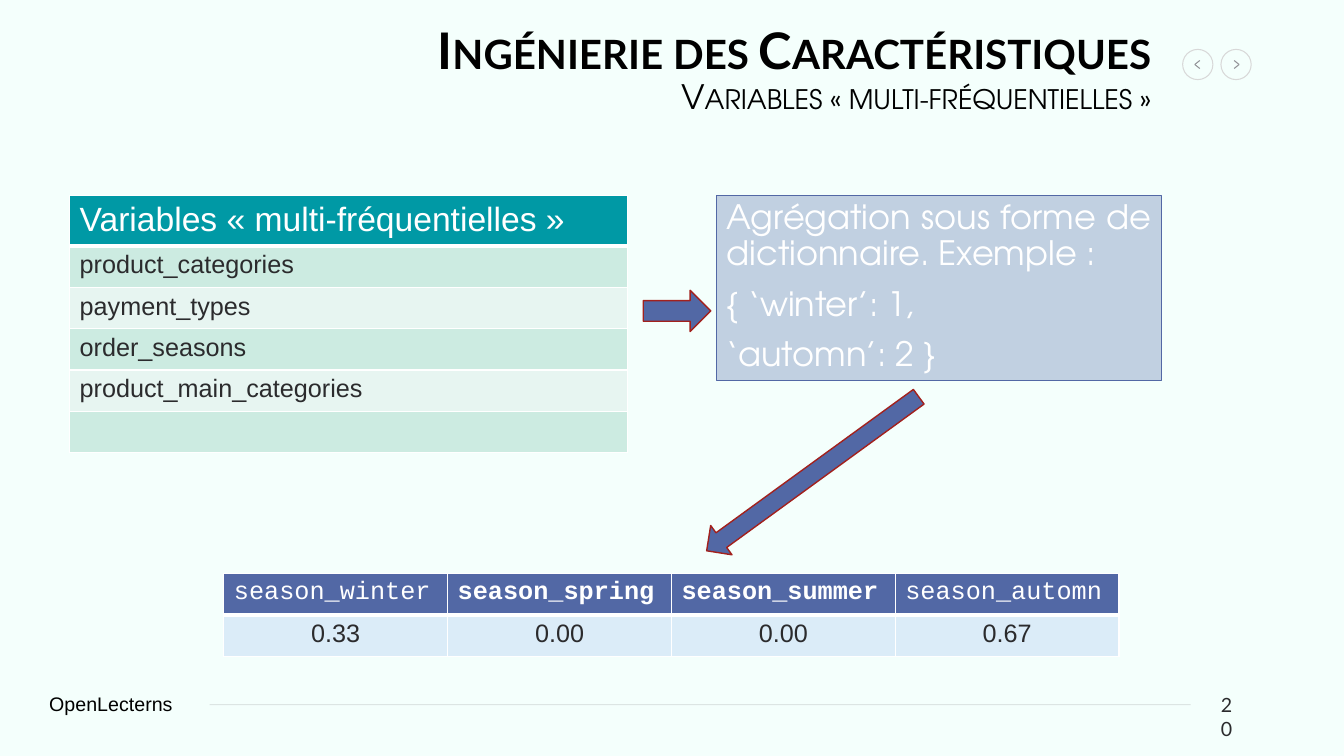
from lxml import etree
from pptx import Presentation
from pptx import util as u
from pptx.dml import color
from pptx.enum import shapes, text
from pptx.oxml import ns

INK, WHITE, BLUE, RED = "2B2B2D", "FFFFFF", "5268A5", "A2211D"
SERIF = "TeX Gyre Adventor"
ALIGN = text.PP_ALIGN


def paint(fmt, hue, alpha=None):
    """Give a fill a solid colour, with an optional opacity in percent."""
    fmt.solid()
    fmt.fore_color.rgb = color.RGBColor.from_string(hue)
    if alpha:
        tint = fmt._xPr.find(ns.qn("a:solidFill"))[0]
        etree.SubElement(tint, ns.qn("a:alpha")).set("val", str(alpha * 1000))


def box(at):
    """Turn inch numbers into lengths."""
    return [u.Inches(n) for n in at]


def write(par, words, size, face, hue, bold=False, **form):
    """Add a run to a paragraph and format both."""
    for key, val in form.items():
        setattr(par, key, val)
    run = par.add_run()
    run.text = words
    for key, val in {"size": u.Pt(size), "name": face, "bold": bold}.items():
        setattr(run.font, key, val)
    paint(run.font.fill, hue)
    return run


def label(slide, at, words, size, face, hue):
    """Add a wrapped text box."""
    frame = slide.shapes.add_textbox(*box(at)).text_frame
    frame.word_wrap = True
    write(frame.paragraphs[0], words, size, face, hue)


def line(home, start, end, hue, alpha=None):
    """Add a thin straight line."""
    rule = home.add_connector(shapes.MSO_CONNECTOR.STRAIGHT, *box(start + end))
    rule.line.width = u.Pt(0.75)
    paint(rule.line.fill, hue, alpha)
    etree.SubElement(rule._element.spPr, ns.qn("a:effectLst"))


def shape(home, kind, at, edge, width=0.75, fill=None, alpha=None, turn=0):
    """Add a preset shape."""
    form = home.add_shape(kind, *box(at))
    form.shadow.inherit = False
    form.rotation = turn
    form.line.width = u.Pt(width)
    paint(form.line.fill, edge)
    if fill:
        paint(form.fill, fill, alpha)
    else:
        form.fill.background()
    return form


def border(cell, low):
    """Draw white cell borders, with the bottom one low points wide."""
    props = cell._tc.get_or_add_tcPr()
    for side, width in zip("LRTB", (1, 1, 1, low)):
        edge = etree.SubElement(props, ns.qn("a:ln" + side), w=str(u.Pt(width)))
        fill = etree.SubElement(edge, ns.qn("a:solidFill"))
        etree.SubElement(fill, ns.qn("a:srgbClr"), val=WHITE)


def table(slide, at, rows, head, fills, alpha, fonts, align):
    """Add a table with a header row and alternating body fills."""
    grid = slide.shapes.add_table(len(rows), len(rows[0]), *box(at)).table
    grid.horz_banding = False
    for i, row in enumerate(rows):
        for j, words in enumerate(row):
            cell = grid.cell(i, j)
            border(cell, 1 if i else 3)
            par = cell.text_frame.paragraphs[0]
            if i:
                paint(cell.fill, fills[(i - 1) % len(fills)], alpha)
                par.font.size = u.Pt(18)
                if words:
                    write(par, words, 18, "Arial", INK, alignment=align)
            else:
                paint(cell.fill, head)
                size, face, bold = fonts
                write(par, words, size, face, WHITE, j in bold)


def title(slide):
    """Fill the title placeholder with its heading and subheading."""
    head = slide.shapes.title
    head.left, head.top, head.width, head.height = box((0, 0, 11.52, 1.41))
    frame = head.text_frame
    frame.auto_size = text.MSO_AUTO_SIZE.NONE
    frame.vertical_anchor = text.MSO_ANCHOR.MIDDLE
    par = frame.paragraphs[0]
    form = {"alignment": ALIGN.RIGHT, "line_spacing": 0.9}
    top = write(par, "Ingénierie des Caractéristiques", 36, "Lato", "000000", True, **form)
    par.add_line_break()
    sub = write(par, "Variables « multi-fréquentielles »", 24, SERIF, "000000")
    for run in (top, sub):
        run.font._element.set("cap", "small")


def frame(slide):
    """Add the footer and the navigation buttons."""
    line(slide.shapes, (2.08, 6.99), (11.81, 6.99), "7F7F7F", 20)
    label(slide, (0.39, 6.82, 1.83, 0.34), "OpenLecterns", 14, "Arial", "000000")
    label(slide, (12.01, 6.83, 0.42, 0.34), "20", 14, "Lato", INK)
    nav = slide.shapes.add_group_shape().shapes
    for left, tip, tail in ((11.73, 11.85, 11.9), (12.11, 12.29, 12.24)):
        shape(nav, shapes.MSO_SHAPE.OVAL, (left, 0.49, 0.3, 0.3), "D8D8D8")
        for end in (0.6, 0.68):
            line(nav, (tip, 0.64), (tail, end), "929297")


def sample(slide):
    """Add the dictionary example box."""
    kind = shapes.MSO_SHAPE.RECTANGLE
    form = shape(slide.shapes, kind, (7.11, 1.94, 4.41, 1.84), BLUE, fill=BLUE, alpha=31)
    body = form.text_frame
    body.word_wrap = True
    body.vertical_anchor = text.MSO_ANCHOR.TOP
    lines = ("Agrégation sous forme de dictionnaire. Exemple :",
             "{ ‘winter’: 1,", "‘automn’: 2 }")
    for i, words in enumerate(lines):
        par = body.add_paragraph() if i else body.paragraphs[0]
        write(par, words, 24, SERIF, WHITE, alignment=ALIGN.JUSTIFY,
              line_spacing=0.9, space_before=u.Pt(10 if i else 0))


def main():
    """Build the slide."""
    deck = Presentation()
    deck.slide_width, deck.slide_height = box((13.33, 7.5))
    slide = deck.slides.add_slide(deck.slide_layouts[5])
    paint(slide.background.fill, "F4FFFC")
    frame(slide)
    title(slide)
    names = ("Variables « multi-fréquentielles »", "product_categories",
             "payment_types", "order_seasons", "product_main_categories", "")
    table(slide, (0.69, 1.94, 5.53, 2.46), [[name] for name in names],
          "0099A5", ("CCEBE1", "E7F5F1"), None, (24, "Arial", ()), ALIGN.LEFT)
    sample(slide)
    seasons = ["season_" + name for name in ("winter", "spring", "summer", "automn")]
    table(slide, (2.22, 5.69, 8.88, 0.82), [seasons, ["0.33", "0.00", "0.00", "0.67"]],
          BLUE, ("D9EAF8",), 89, (18, "Courier New", (1, 2)), ALIGN.CENTER)
    for at, turn in (((6.38, 2.88, 0.67, 0.41), 0), ((6.76, 4.52, 2.6, 0.36), 144)):
        shape(slide.shapes, shapes.MSO_SHAPE.RIGHT_ARROW, at, RED, 1, BLUE, turn=turn)
    deck.save("out.pptx")


if __name__ == "__main__":
    main()
